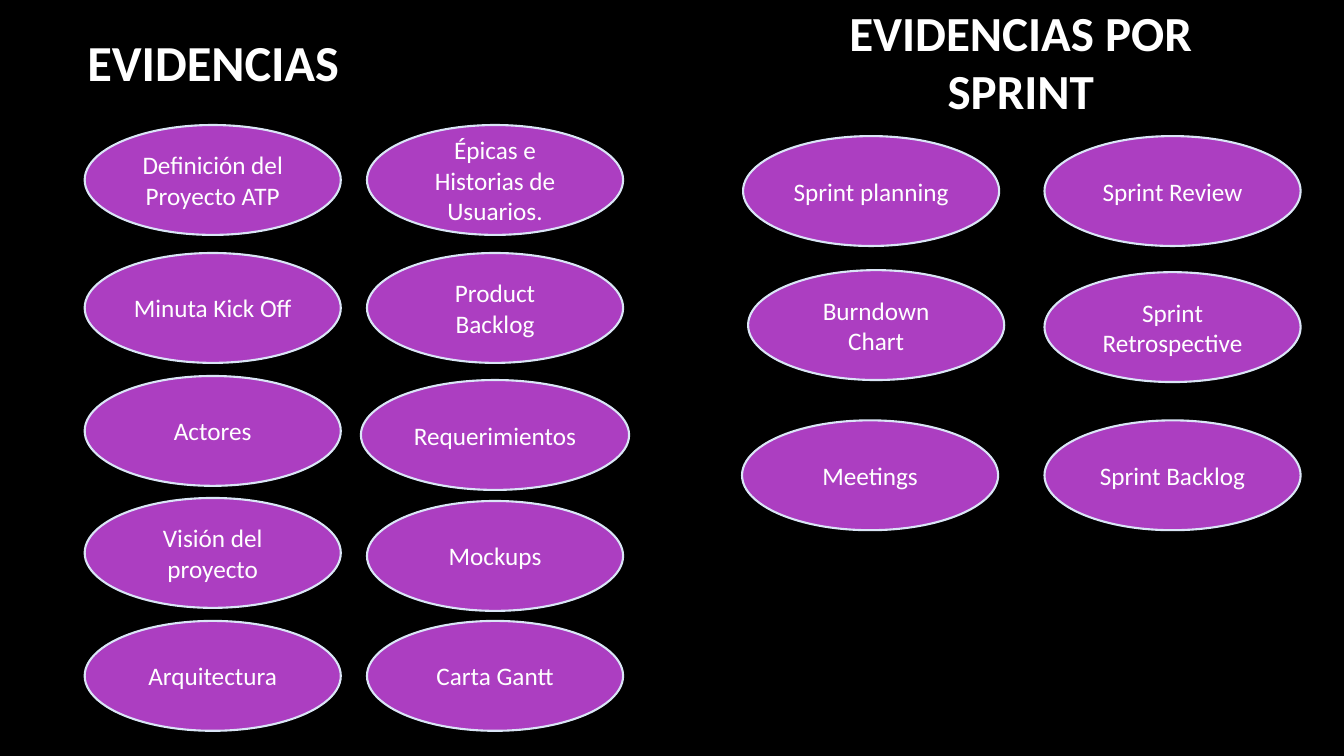
"""Build the slide that lists the general and per-sprint project evidence."""
from pptx import Presentation
from pptx.dml.color import RGBColor
from pptx.enum.shapes import MSO_SHAPE
from pptx.enum.text import MSO_ANCHOR, MSO_AUTO_SIZE, PP_ALIGN
from pptx.util import Pt

PX = 9144
FONT = "Calibri"
COLORS = {"background": "000000", "oval": "AC3EC1", "outline": "DAE5F6", "text": "FFFFFF"}
OVAL = MSO_SHAPE.OVAL
MIDDLE = MSO_ANCHOR.MIDDLE
CENTER = PP_ALIGN.CENTER
NO_AUTOFIT = MSO_AUTO_SIZE.NONE
TITLE_ONLY = 5
OVAL_WIDTH, OVAL_HEIGHT = 254, 109

OVAL_COLUMNS = [
    (84, [
        (124, "Definición del Proyecto ATP"),
        (251, "Minuta Kick Off"),
        (373, "Actores"),
        (494, "Visión del proyecto"),
        (616, "Arquitectura"),
    ]),
    (364, [
        (124, "Épicas e Historias de Usuarios."),
        (251, "Product Backlog"),
        (377, "Requerimientos"),
        (497, "Mockups"),
        (616, "Carta Gantt"),
    ]),
    (737, [
        (135, "Sprint planning"),
        (268, "Burndown Chart"),
        (417, "Meetings"),
    ]),
    (1036, [
        (135, "Sprint Review"),
        (270, "Sprint Retrospective"),
        (417, "Sprint Backlog"),
    ]),
]
OVAL_ADJUSTMENTS = {"Requerimientos": (-6, 12), "Burndown Chart": (5, 0), "Meetings": (-1, 0)}


def color(name):
    return RGBColor.from_string(COLORS[name])


def write_text(shape, text, size, bold=False):
    text_frame = shape.text_frame
    text_frame.text = text
    text_frame.word_wrap = True
    text_frame.auto_size = NO_AUTOFIT
    text_frame.vertical_anchor = MIDDLE
    paragraph = text_frame.paragraphs[0]
    paragraph.alignment = CENTER
    font = paragraph.runs[0].font
    font.name = FONT
    font.size = Pt(size)
    font.bold = bold
    font.color.rgb = color("text")


presentation = Presentation()
presentation.slide_width = 1333 * PX
presentation.slide_height = 750 * PX
slide = presentation.slides.add_slide(presentation.slide_layouts[TITLE_ONLY])
slide.background.fill.solid()
slide.background.fill.fore_color.rgb = color("background")

title = slide.shapes.title
title.left, title.top, title.width, title.height = 48 * PX, 24 * PX, 327 * PX, 73 * PX
write_text(title, "EVIDENCIAS", 36, bold=True)

sprint_heading = slide.shapes.add_textbox(762 * PX, 24 * PX, 501 * PX, 73 * PX)
write_text(sprint_heading, "EVIDENCIAS POR SPRINT", 35, bold=True)

for left, ovals in OVAL_COLUMNS:
    for top, label in ovals:
        shift, extra_width = OVAL_ADJUSTMENTS.get(label, (0, 0))
        oval = slide.shapes.add_shape(
            OVAL, (left + shift) * PX, top * PX, (OVAL_WIDTH + extra_width) * PX, OVAL_HEIGHT * PX
        )
        oval.shadow.inherit = False
        oval.fill.solid()
        oval.fill.fore_color.rgb = color("oval")
        oval.line.color.rgb = color("outline")
        oval.line.width = Pt(1.5)
        write_text(oval, label, 18)

presentation.save("out.pptx")
